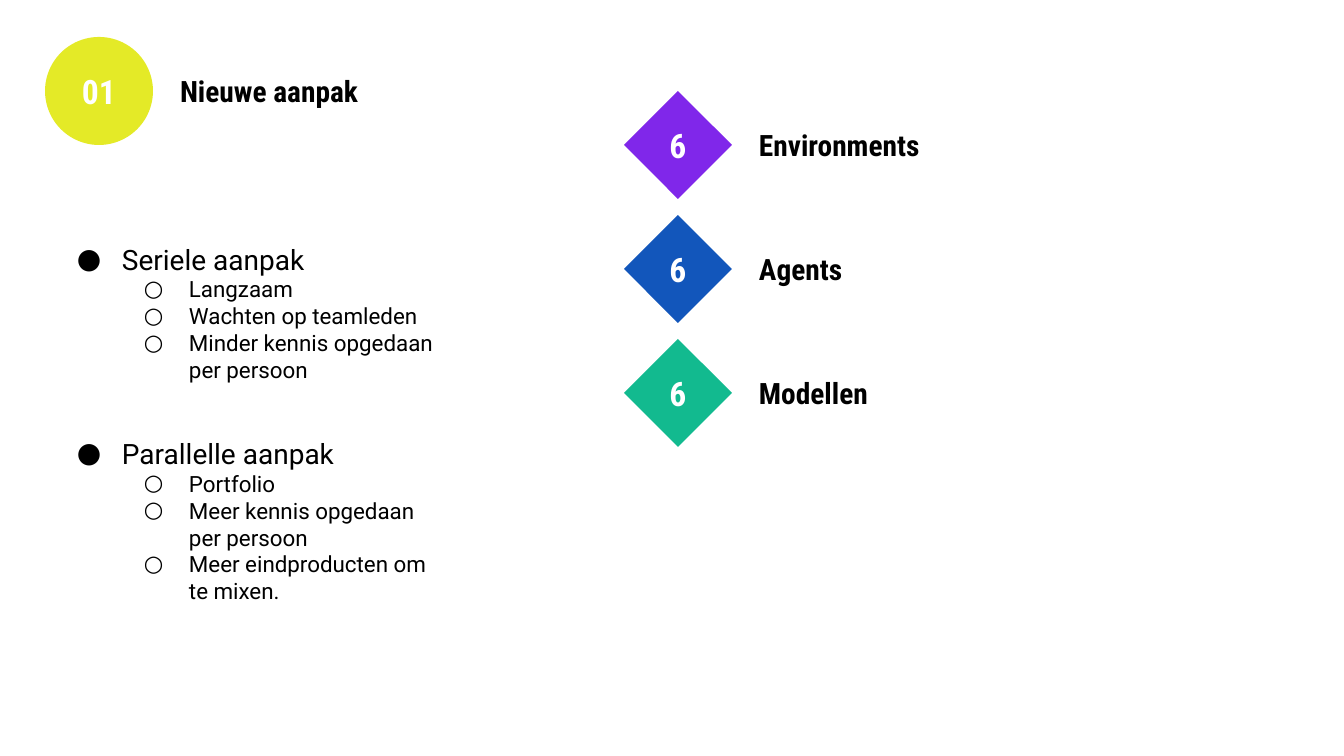
from lxml import etree
from pptx import Presentation
from pptx.dml.color import RGBColor
from pptx.enum.shapes import MSO_SHAPE
from pptx.enum.text import MSO_ANCHOR, MSO_AUTO_SIZE, PP_ALIGN
from pptx.oxml.ns import qn
from pptx.util import Pt

ELLIPSE, DIAMOND = MSO_SHAPE.OVAL, MSO_SHAPE.DIAMOND
TOP, MIDDLE = MSO_ANCHOR.TOP, MSO_ANCHOR.MIDDLE
LEFT, CENTER = PP_ALIGN.LEFT, PP_ALIGN.CENTER
NO_AUTOFIT = MSO_AUTO_SIZE.NONE

EMU_PER_PIXEL = 914400 / 100.8
COLORS = {
    "black": "000000",
    "white": "FFFFFF",
    "yellow": "E4EA27",
    "purple": "8027EA",
    "blue": "1256BB",
    "green": "12BA8F",
}
BODY_FONT, HEADING_FONT = "Roboto", "Roboto Condensed"
BADGE_SIZE = 108
LABEL_OFFSET, LABEL_WIDTH, LABEL_HEIGHT = 122, 359, 60
ROW_PITCH = 124
HANGING = 45

# Per level: bullet character, left margin, text size
LEVELS = [("●", 67, 20), ("○", 134, 16)]
APPROACHES = [
    ("Seriele aanpak",
     ["Langzaam", "Wachten op teamleden", "Minder kennis opgedaan per persoon"]),
    ("Parallelle aanpak",
     ["Portfolio", "Meer kennis opgedaan per persoon",
      "Meer eindproducten om te mixen."]),
]
COUNTS = [("6", "Environments", "purple"), ("6", "Agents", "blue"),
          ("6", "Modellen", "green")]


def px(pixels):
    return round(pixels * EMU_PER_PIXEL)


def rgb(name):
    return RGBColor.from_string(COLORS[name])


def place(shape, left, top, width, height):
    shape.left, shape.top = px(left), px(top)
    shape.width, shape.height = px(width), px(height)


def set_frame(shape, inset, anchor):
    frame = shape.text_frame
    frame.word_wrap = True
    frame.auto_size = NO_AUTOFIT
    frame.vertical_anchor = anchor
    frame.margin_left = frame.margin_right = px(inset)
    frame.margin_top = frame.margin_bottom = px(inset)
    return frame


def write(paragraph, text, size, font=HEADING_FONT, color="black", bold=True,
          align=LEFT, space_before=0):
    paragraph.alignment = align
    paragraph.space_before = Pt(space_before)
    paragraph.line_spacing = 1.0
    run = paragraph.add_run()
    run.text = text
    run.font.name, run.font.size, run.font.bold = font, Pt(size), bold
    run.font.color.rgb = rgb(color)


def add_bullet(paragraph, level):
    character, margin, _ = LEVELS[level]
    paragraph.level = level
    properties = paragraph._p.get_or_add_pPr()
    properties.set("marL", str(px(margin)))
    properties.set("indent", str(-px(HANGING)))
    bullet_color = etree.SubElement(properties, qn("a:buClr"))
    etree.SubElement(bullet_color, qn("a:srgbClr"), val=COLORS["black"])
    etree.SubElement(properties, qn("a:buFont"), typeface=BODY_FONT)
    etree.SubElement(properties, qn("a:buChar"), char=character)


def add_badge_row(slide, left, top, kind, number, label, color, label_shape=None):
    """Numbered badge with its label, centred on the badge."""
    badge = slide.shapes.add_shape(kind, 0, 0, 0, 0)
    place(badge, left, top, BADGE_SIZE, BADGE_SIZE)
    badge.shadow.inherit = False
    badge.fill.solid()
    badge.fill.fore_color.rgb = rgb(color)
    badge.line.fill.background()
    write(set_frame(badge, 13, MIDDLE).paragraphs[0], number, 24,
          color="white", align=CENTER)

    if label_shape is None:
        label_shape = slide.shapes.add_textbox(0, 0, 0, 0)
    place(label_shape, left + LABEL_OFFSET, top + (BADGE_SIZE - LABEL_HEIGHT) / 2,
          LABEL_WIDTH, LABEL_HEIGHT)
    write(set_frame(label_shape, 13, MIDDLE).paragraphs[0], label, 21)


def add_counts(slide, left, top):
    for row, (number, label, color) in enumerate(COUNTS):
        add_badge_row(slide, left, top + row * ROW_PITCH, DIAMOND,
                      number, label, color)


def add_approaches(slide, left, top, width, height):
    box = slide.shapes.add_textbox(0, 0, 0, 0)
    place(box, left, top, width, height)
    frame = set_frame(box, 10, TOP)
    paragraph = frame.paragraphs[0]
    for group, (heading, points) in enumerate(APPROACHES):
        if group:
            paragraph = frame.add_paragraph()
        lines = [(0, heading)] + [(1, point) for point in points]
        for index, (level, text) in enumerate(lines):
            if index:
                paragraph = frame.add_paragraph()
            write(paragraph, text, LEVELS[level][2], font=BODY_FONT, bold=False,
                  space_before=38 if group and not index else 0)
            add_bullet(paragraph, level)


presentation = Presentation()
presentation.slide_width, presentation.slide_height = px(1344), px(756)
slide = presentation.slides.add_slide(presentation.slide_layouts[5])

# Title with its number
add_badge_row(slide, 45, 37, ELLIPSE, "01", "Nieuwe aanpak", "yellow",
              label_shape=slide.shapes.title)
# Approaches on the left, counts on the right
add_approaches(slide, 45, 232, 412, 440)
add_counts(slide, 624, 91)

presentation.save("out.pptx")
